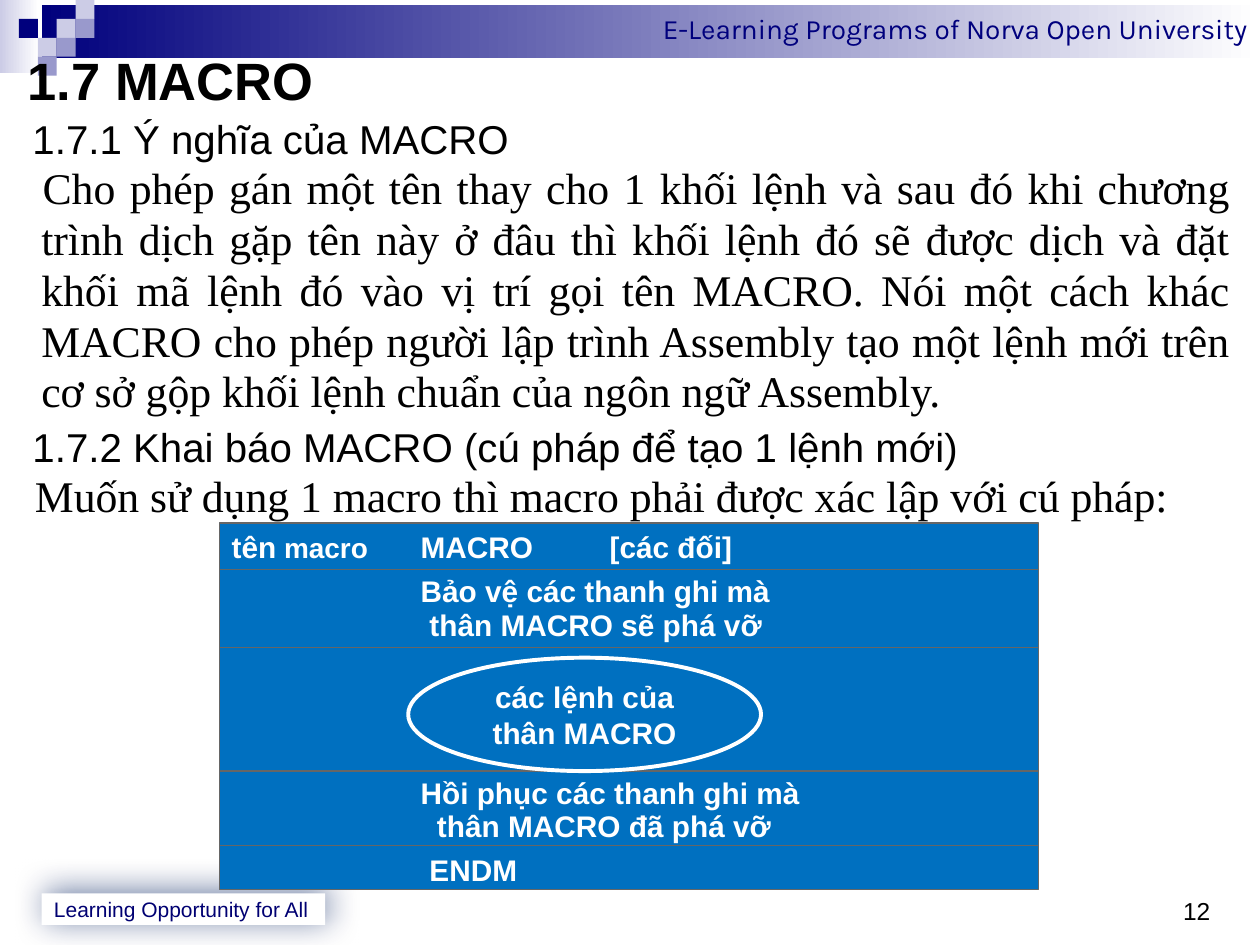
from dataclasses import dataclass
from typing import Optional

from lxml import etree
from pptx import Presentation, util as u
from pptx.dml.color import RGBColor
from pptx.enum import shapes, text
from pptx.oxml.ns import qn

COLORS = {"navy": "00007D", "label": "000072", "pale": "CCCCE6", "mid": "9999CC",
          "glow": "002060", "blue": "0070C0", "gray": "666666",
          "white": "FFFFFF", "black": "000000"}
ALIGN = text.PP_ALIGN
RECT = shapes.MSO_SHAPE.RECTANGLE


@dataclass
class Run:
    """A piece of text in one font."""
    text: str
    size: float
    color: str = "black"
    font: str = "Arial"
    bold: bool = False


@dataclass
class Para:
    """A paragraph with indents in inches and spacing in points."""
    runs: list[Run]
    align: ALIGN = ALIGN.LEFT
    left: float = 0
    first: float = 0
    line: Optional[float] = None
    before: float = 0


@dataclass
class Band:
    """A row of the macro syntax diagram."""
    top: float
    height: float
    paras: list[Para]


def rgb(name: str) -> RGBColor:
    """Look up a named colour."""
    return RGBColor.from_string(COLORS[name])


def write(sp, paras: list[Para], anchor=text.MSO_ANCHOR.TOP, inset=(0.1, 0.05)) -> None:
    """Fill a shape with paragraphs."""
    tf = sp.text_frame
    tf.word_wrap = True
    tf.auto_size = text.MSO_AUTO_SIZE.NONE
    tf.vertical_anchor = anchor
    tf.margin_left = tf.margin_right = u.Inches(inset[0])
    tf.margin_top = tf.margin_bottom = u.Inches(inset[1])
    for i, para in enumerate(paras):
        p = tf.add_paragraph() if i else tf.paragraphs[0]
        p.alignment = para.align
        p.space_before = u.Pt(para.before)
        if para.line:
            p.line_spacing = u.Pt(para.line)
        ppr = p._p.get_or_add_pPr()
        ppr.set("marL", str(u.Inches(para.left)))
        ppr.set("indent", str(u.Inches(para.first)))
        for run in para.runs:
            r = p.add_run()
            r.text = run.text
            r.font.size = u.Pt(run.size)
            r.font.name = run.font
            r.font.bold = run.bold
            r.font.color.rgb = rgb(run.color)


def add_box(s, at, fill: str, line: str = "", width: float = 0.75, kind=RECT):
    """Add a flat preset shape."""
    sp = s.shapes.add_shape(kind, *map(u.Inches, at))
    sp.shadow.inherit = False
    sp.fill.solid()
    sp.fill.fore_color.rgb = rgb(fill)
    if line:
        sp.line.color.rgb = rgb(line)
        sp.line.width = u.Pt(width)
    else:
        sp.line.fill.background()
    return sp


def add_gradient(s, at, start: str):
    """Add a bar that fades to white from left to right."""
    sp = add_box(s, at, start)
    sp.fill.gradient()
    sp.fill.gradient_angle = 0
    for stop, name in zip(sp.fill.gradient_stops, (start, "white")):
        stop.color.rgb = rgb(name)
    return sp


def add_text(s, at, paras: list[Para], **frame) -> None:
    """Add a text box."""
    write(s.shapes.add_textbox(*map(u.Inches, at)), paras, **frame)


def add_glow(sp) -> None:
    """Give a shape a soft outer shadow."""
    effects = sp._element.spPr.find(qn("a:effectLst"))
    shadow = etree.SubElement(effects, qn("a:outerShdw"), blurRad=str(u.Pt(19)),
                              dist=str(u.Pt(3)), dir=str(315 * 60000), algn="ctr")
    color = etree.SubElement(shadow, qn("a:srgbClr"), val=COLORS["glow"])
    etree.SubElement(color, qn("a:alpha"), val="56000")


def add_header(s) -> None:
    """Draw the header bar and its checker squares."""
    add_gradient(s, (0, 0, 0.31, 0.58), "pale")
    bar = add_gradient(s, (0.33, 0.04, 9.67, 0.42), "navy")
    write(bar, [Para([Run("E-Learning Programs of Norva Open University", 16, "navy", "Karla")],
                     ALIGN.RIGHT)])
    cell = 0.15
    for col, row, name in ((3, 1, "pale"), (4, 0, "pale"), (4, 1, "mid"), (2, 2, "pale"),
                           (1, 1, "navy"), (3, 2, "mid"), (2, 3, "mid")):
        add_box(s, (col * cell, row * cell, cell, cell), name)


def heading(words: str, **spacing) -> Para:
    """Make a section heading."""
    return Para([Run(words, 23)], **spacing)


def body(words: str, left: float) -> Para:
    """Make a justified body paragraph."""
    return Para([Run(words, 25, font="Times New Roman")], ALIGN.JUSTIFY, left, 0.01, 29)


def code(words: str, size: float = 17) -> Run:
    """Make a bold white run for the diagram."""
    return Run(words, size, "white", bold=True)


def pair(first: str, second: str, left: float) -> list[Para]:
    """Make two tight diagram lines, the second set further in."""
    return [Para([code(first)], left=1.5, line=19), Para([code(second)], left=left, line=19)]


prs = Presentation()
prs.slide_width, prs.slide_height = u.Inches(10), u.Inches(7.5)
s = prs.slides.add_slide(prs.slide_layouts[5])
add_header(s)

label = add_box(s, (0.33, 7.09, 2.25, 0.25), "white")
add_glow(label)
write(label, [Para([Run("Learning Opportunity for All", 12, "label")])],
      anchor=text.MSO_ANCHOR.MIDDLE)

title = s.shapes.title
title.left, title.top, title.width, title.height = map(u.Inches, (0.12, 0.38, 9.6, 0.5))
write(title, [Para([Run("1.7 MACRO", 30, bold=True)])], anchor=text.MSO_ANCHOR.MIDDLE)
s.shapes._spTree.append(title._element)

add_text(s, (0.16, 0.86, 9.7, 6.69), [
    heading("1.7.1 Ý nghĩa của MACRO", before=2.5),
    body("Cho phép gán một tên thay cho 1 khối lệnh và sau đó khi chương trình dịch gặp tên "
         "này ở đâu thì khối lệnh đó sẽ được dịch và đặt khối mã lệnh đó vào vị trí gọi tên "
         "MACRO. Nói một cách khác MACRO cho phép người lập trình Assembly tạo một lệnh mới "
         "trên cơ sở gộp khối lệnh chuẩn của ngôn ngữ Assembly.", 0.07),
    heading("1.7.2 Khai báo MACRO (cú pháp để tạo 1 lệnh mới)", line=29, before=2),
    body("Muốn sử dụng 1 macro thì macro phải được xác lập với cú pháp:", 0.01),
])
add_text(s, (9.39, 7.06, 0.3, 0.28), [Para([Run("12", 14)])], inset=(0, 0.05))

BANDS = [
    Band(4.15, 0.39, [Para([code("tên"), code(" macro", 16), code("\tMACRO\t\t[các đối]")])]),
    Band(4.52, 0.63, pair("Bảo vệ các thanh ghi mà", "thân MACRO sẽ phá vỡ", 1.57)),
    Band(5.14, 1, []),
    Band(6.12, 0.63, pair("Hồi phục các thanh ghi mà", "thân MACRO đã phá vỡ", 1.63)),
    Band(6.71, 0.35, [Para([code("ENDM")], left=1.57)]),
]
for band in BANDS:
    write(add_box(s, (1.74, band.top, 6.5, band.height), "blue", "gray"), band.paras)

core = add_box(s, (3.24, 5.22, 2.8, 0.9), "blue", "white", 2.25, shapes.MSO_SHAPE.OVAL)
write(core, [Para([code("các lệnh của thân MACRO")], ALIGN.CENTER)],
      anchor=text.MSO_ANCHOR.MIDDLE, inset=(0, 0))

prs.save("out.pptx")
